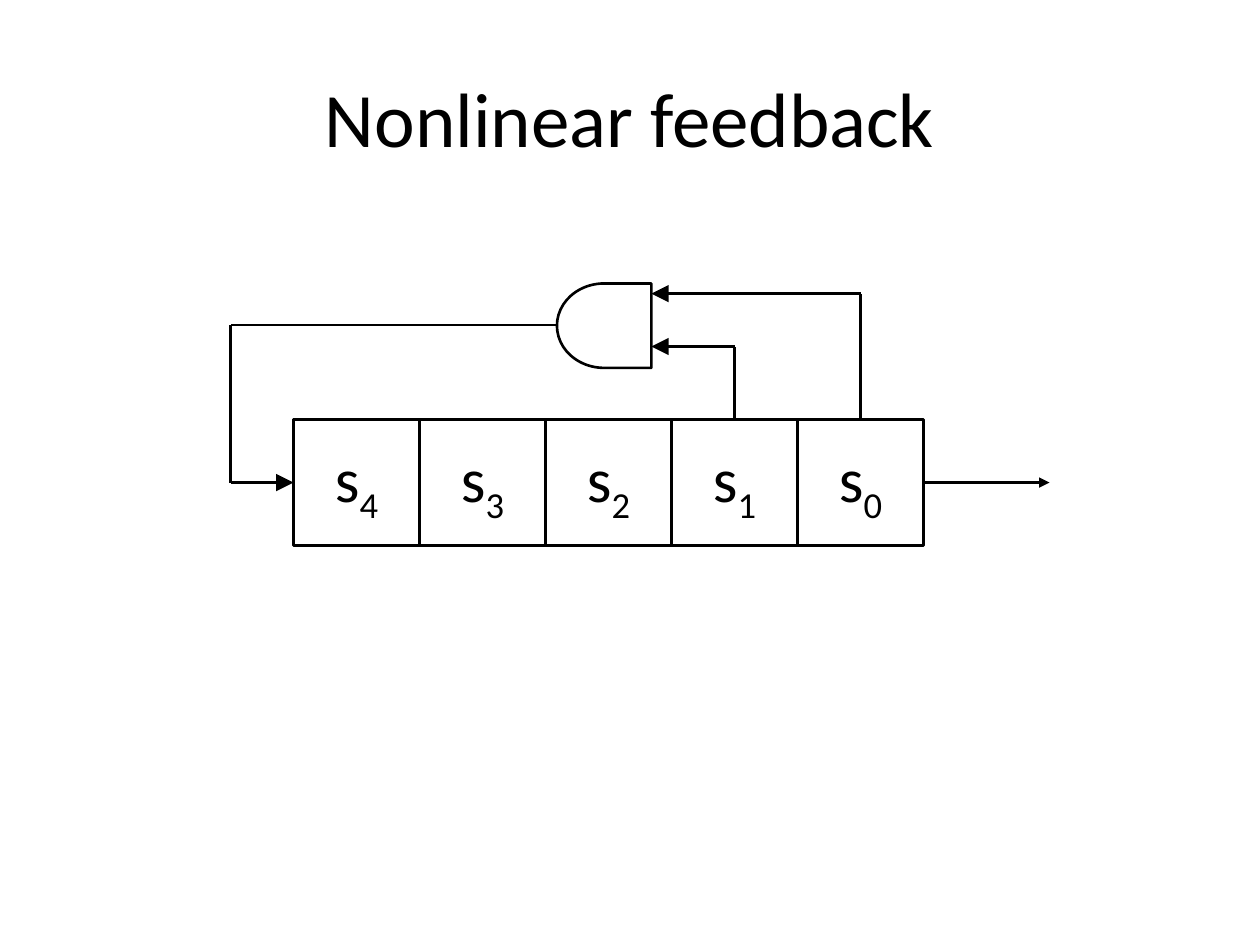
import pptx
import pptx.dml.color
import pptx.enum.shapes
import pptx.enum.text
import pptx.util
from pptx.oxml.ns import qn
from pptx.util import Inches

BLACK = pptx.dml.color.RGBColor(0x00, 0x00, 0x00)
SHAPE = pptx.enum.shapes.MSO_SHAPE
TOP, LEFT, RIGHT = 0, 1, 3  # connection sites of a rectangle


class Diagram:
    font = "Calibri"
    color = BLACK
    line_width = pptx.util.Pt(1.5)

    def __init__(self, slide):
        self.slide = slide

    def add_run(self, paragraph, text, size, baseline=None):
        run = paragraph.add_run()
        run.text = text
        run.font.name = self.font
        run.font.size = pptx.util.Pt(size)
        run.font.color.rgb = self.color
        if baseline is not None:
            run.font._element.set("baseline", str(baseline * 1000))

    def centre(self, frame):
        frame.word_wrap = True
        frame.vertical_anchor = pptx.enum.text.MSO_ANCHOR.MIDDLE
        paragraph = frame.paragraphs[0]
        paragraph.alignment = pptx.enum.text.PP_ALIGN.CENTER
        return paragraph

    def title(self, text, left, top, width, height):
        box = self.slide.shapes.add_textbox(
            Inches(left), Inches(top), Inches(width), Inches(height))
        self.add_run(self.centre(box.text_frame), text, 44)

    def outline(self, kind, left, top, width, height):
        shape = self.slide.shapes.add_shape(
            kind, Inches(left), Inches(top), Inches(width), Inches(height))
        shape.shadow.inherit = False
        shape.fill.background()
        shape.line.color.rgb = self.color
        shape.line.width = self.line_width
        return shape

    def cell(self, index, left, top, side):
        cell = self.outline(SHAPE.RECTANGLE, left, top, side, side)
        paragraph = self.centre(cell.text_frame)
        self.add_run(paragraph, "s", 36)
        self.add_run(paragraph, str(index), 36, baseline=-25)
        return cell

    def gate(self, left, top, width, height):
        gate = self.outline(SHAPE.FLOWCHART_DELAY, left, top, width, height)
        gate._element.spPr.find(qn("a:xfrm")).set("flipH", "1")

    def wire(self, start, end, arrow=None, source=None, target=None):
        wire = self.slide.shapes.add_connector(
            pptx.enum.shapes.MSO_CONNECTOR.STRAIGHT,
            *(Inches(length) for length in (*start, *end)))
        wire.line.color.rgb = self.color
        wire.line.width = self.line_width
        if arrow:
            tail = wire.line._get_or_add_ln().makeelement(
                qn("a:tailEnd"), {"type": "triangle", "w": arrow, "len": arrow})
            wire.line._get_or_add_ln().append(tail)
        properties = wire._element.spPr
        properties.append(properties.makeelement(qn("a:effectLst"), {}))
        if source:
            wire.begin_connect(*source)
        if target:
            wire.end_connect(*target)


def main():
    deck = pptx.Presentation()
    deck.slide_width, deck.slide_height = Inches(10), Inches(7.5)
    diagram = Diagram(deck.slides.add_slide(deck.slide_layouts[6]))
    diagram.title("Nonlinear feedback", 0.5, 0.3, 9, 1.25)

    # Shift register, s4 on the left to s0 on the right
    register_left, register_top, side = 2.33, 3.33, 1
    stages = {
        index: diagram.cell(index, register_left + (4 - index) * side,
                            register_top, side)
        for index in (4, 3, 2, 1, 0)
    }
    register_right = register_left + 5 * side
    register_middle = register_top + side / 2

    # Output
    diagram.wire((register_right, register_middle),
                 (register_right + 1, register_middle),
                 arrow="med", source=(stages[0], RIGHT))

    # AND gate, facing left
    gate_left, gate_right, gate_top = 4.42, 5.17, 2.25
    diagram.gate(gate_left, gate_top, gate_right - gate_left, 0.67)

    # Taps from s1 and s0 up into the gate
    for index, tap_y in ((1, 2.75), (0, 2.33)):
        tap_x = register_left + (4.5 - index) * side
        diagram.wire((tap_x, register_top), (tap_x, tap_y),
                     source=(stages[index], TOP))
        diagram.wire((tap_x, tap_y), (gate_right, tap_y), arrow="lg")

    # Feedback from the gate into s4
    feedback_x, feedback_y = 1.83, 2.58
    diagram.wire((gate_left, feedback_y), (feedback_x, feedback_y))
    diagram.wire((feedback_x, feedback_y), (feedback_x, register_middle))
    diagram.wire((feedback_x, register_middle),
                 (register_left, register_middle),
                 arrow="lg", target=(stages[4], LEFT))

    deck.save("out.pptx")


if __name__ == "__main__":
    main()
